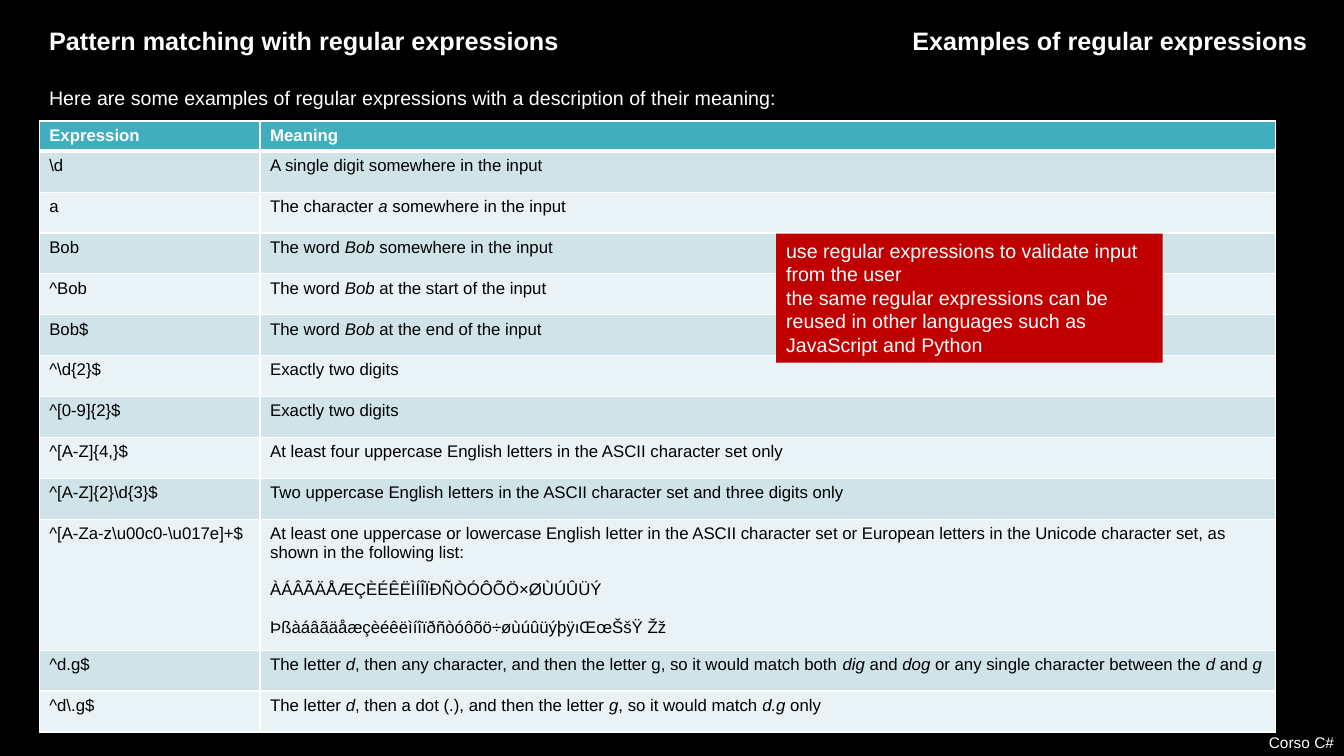
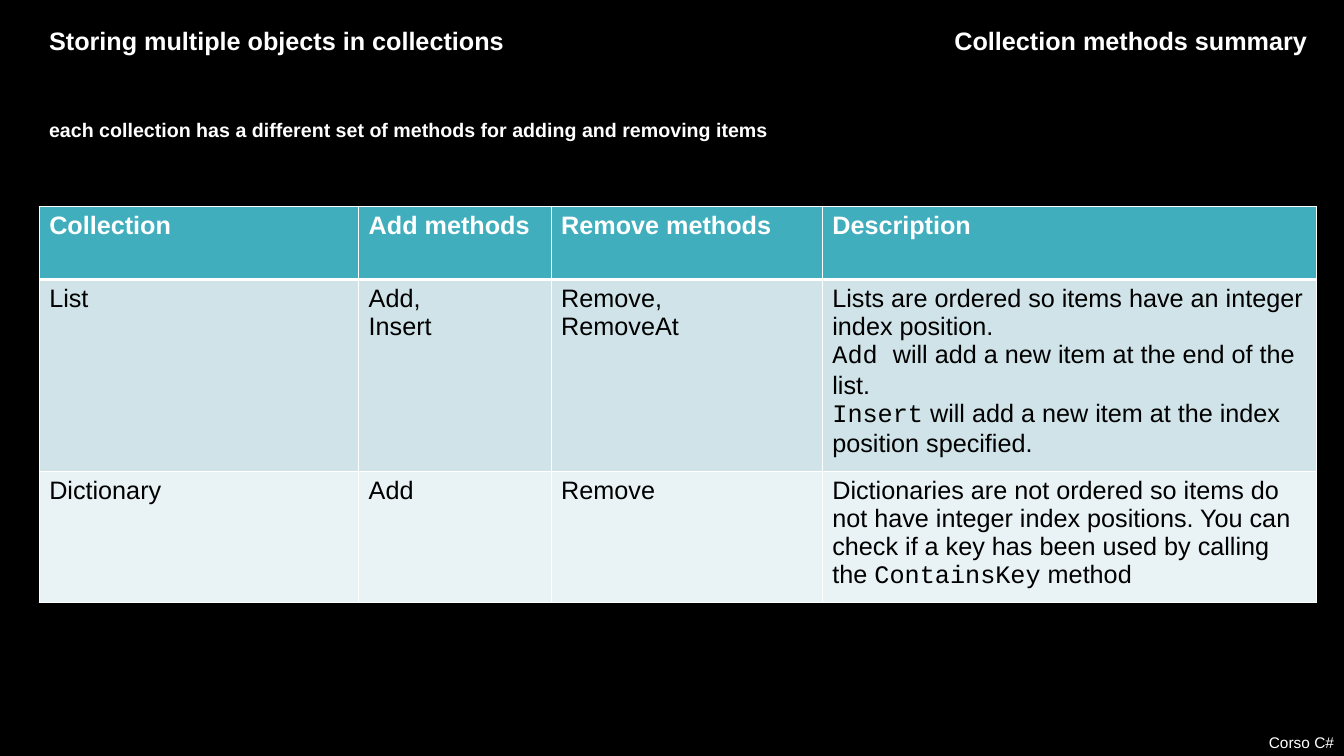
"""Build two course slides: regular expression examples and collection methods."""
from dataclasses import dataclass

from lxml import etree
from pptx import Presentation
from pptx.dml.color import RGBColor
from pptx.enum.shapes import MSO_SHAPE
from pptx.enum.text import MSO_ANCHOR, MSO_AUTO_SIZE, PP_ALIGN
from pptx.oxml.ns import qn
from pptx.util import Pt

LEFT, RIGHT = PP_ALIGN.LEFT, PP_ALIGN.RIGHT
TOP = MSO_ANCHOR.TOP
NO_FIT = MSO_AUTO_SIZE.NONE
RECT = MSO_SHAPE.RECTANGLE


@dataclass(frozen=True)
class Theme:
    font: str = "Arial"
    code: str = "Courier New"
    black: str = "000000"
    white: str = "FFFFFF"
    header: str = "41AEBD"
    bands: tuple = ("CFE3E8", "E9F2F4")
    red: str = "C00000"
    title: int = 18
    body: int = 14
    small: int = 12
    footer: int = 11
    thin: int = 1
    thick: int = 3
    margin: int = 28


T = Theme()

SLIDES = [
    dict(
        section="Pattern matching with regular expressions",
        title="Examples of regular expressions",
        intro=dict(
            text="Here are some examples of regular expressions with a description of their meaning:",
            top=57.6, height=24.5, bold=False, spacing=1),
        table=dict(
            top=86.4, size=T.small, gap=13.4, mark={"italic": True},
            widths=[157.8, 725.4],
            heights=[21.4] + [29.2] * 9 + [93.6] + [29.2] * 2,
            rows=[
                ["Expression", "Meaning"],
                [r"\d", "A single digit somewhere in the input"],
                ["a", "The character *a* somewhere in the input"],
                ["Bob", "The word *Bob* somewhere in the input"],
                ["^Bob", "The word *Bob* at the start of the input"],
                ["Bob$", "The word *Bob* at the end of the input"],
                [r"^\d{2}$", "Exactly two digits"],
                ["^[0-9]{2}$", "Exactly two digits"],
                ["^[A-Z]{4,}$", "At least four uppercase English letters in the ASCII character set only"],
                [r"^[A-Z]{2}\d{3}$",
                 "Two uppercase English letters in the ASCII character set and three digits only"],
                [r"^[A-Za-z\u00c0-\u017e]+$",
                 "At least one uppercase or lowercase English letter in the ASCII character set "
                 "or European letters in the Unicode character set, as shown in the following list:\n"
                 "ÀÁÂÃÄÅÆÇÈÉÊËÌÍÎÏÐÑÒÓÔÕÖ×ØÙÚÛÜÝ\n"
                 "Þßàáâãäåæçèéêëìíîïðñòóôõö÷øùúûüýþÿıŒœŠšŸ Žž"],
                ["^d.g$",
                 "The letter *d*, then any character, and then the letter g, so it would match both "
                 "*dig* and *dog* or any single character between the *d* and *g*"],
                [r"^d\.g$",
                 "The letter *d*, then a dot (.), and then the letter *g*, so it would match *d.g* only"],
            ]),
        callout="use regular expressions to validate input from the user\n"
                "the same regular expressions can be reused in other languages such as JavaScript and Python",
    ),
    dict(
        section="Storing multiple objects in collections",
        title="Collection methods summary",
        intro=dict(
            text="each collection has a different set of methods for adding and removing items",
            top=72, height=29.5, bold=True, spacing=1.5),
        table=dict(
            top=147.6, size=T.title, gap=0, mark={"name": T.code},
            widths=[228.2, 137.5, 193.7, 352.8],
            heights=[52, 137, 93.6],
            rows=[
                ["Collection", "Add methods", "Remove methods", "Description"],
                ["List", "Add,\nInsert", "Remove,\nRemoveAt",
                 "Lists are ordered so items have an integer index position.\n"
                 "*Add *will add a new item at the end of the list.\n"
                 "*Insert* will add a new item at the index position specified."],
                ["Dictionary", "Add", "Remove",
                 "Dictionaries are not ordered so items do not have integer index positions. "
                 "You can check if a key has been used by calling the *ContainsKey* method"],
            ]),
        callout=None,
    ),
]


def write(tf, text, size, color=T.white, bold=False, align=LEFT, gap=0, spacing=1, mark=None):
    tf.word_wrap = True
    tf.vertical_anchor = TOP
    for i, line in enumerate(text.split("\n")):
        p = tf.paragraphs[0] if i == 0 else tf.add_paragraph()
        p.alignment = align
        p.line_spacing = spacing
        if i:
            p.space_before = Pt(gap)
        for j, part in enumerate(line.split("*")):
            if not part:
                continue
            r = p.add_run()
            r.text = part
            values = {"name": T.font, "size": Pt(size), "bold": bold}
            if j % 2:
                values.update(mark)
            for name, value in values.items():
                setattr(r.font, name, value)
            r.font.color.rgb = RGBColor.from_string(color)


def style_cell(cell, fill, top, bottom):
    tc_pr = cell._tc.get_or_add_tcPr()
    for side, width in (("L", T.thin), ("R", T.thin), ("T", top), ("B", bottom)):
        ln = etree.SubElement(tc_pr, qn(f"a:ln{side}"), w=str(Pt(width)))
        solid = etree.SubElement(ln, qn("a:solidFill"))
        etree.SubElement(solid, qn("a:srgbClr"), val=T.white)
    cell.fill.solid()
    cell.fill.fore_color.rgb = RGBColor.from_string(fill)


prs = Presentation()
prs.slide_width, prs.slide_height = Pt(960), Pt(540)
background = prs.slide_master.background.fill
background.solid()
background.fore_color.rgb = RGBColor.from_string(T.black)

for content in SLIDES:
    s = prs.slides.add_slide(prs.slide_layouts[5])

    title = s.shapes.title
    title.left, title.top, title.width, title.height = Pt(480), Pt(14.4), Pt(461), Pt(29)
    title.text_frame.auto_size = NO_FIT
    write(title.text_frame, content["title"], T.title, bold=True, align=RIGHT)

    intro = content["intro"]
    boxes = [
        ((0, 520, 960, 20), "Corso C#", dict(size=T.footer, align=RIGHT)),
        ((T.margin, 14.4, 440, 29), content["section"], dict(size=T.title, bold=True)),
        ((T.margin, intro["top"], 883, intro["height"]), intro["text"],
         dict(size=T.body, bold=intro["bold"], spacing=intro["spacing"])),
    ]
    for place, text, look in boxes:
        sp = s.shapes.add_textbox(*map(Pt, place))
        write(sp.text_frame, text, **look)

    grid = content["table"]
    rows, widths, heights = grid["rows"], grid["widths"], grid["heights"]
    table = s.shapes.add_table(len(rows), len(widths), Pt(T.margin), Pt(grid["top"]),
                               Pt(sum(widths)), Pt(sum(heights))).table
    for column, width in zip(table.columns, widths):
        column.width = Pt(width)
    for i, (row, height) in enumerate(zip(table.rows, heights)):
        row.height = Pt(height)
        head = i == 0
        fill = T.header if head else T.bands[(i - 1) % 2]
        for cell, text in zip(row.cells, rows[i]):
            style_cell(cell, fill, T.thick if i == 1 else T.thin, T.thick if head else T.thin)
            write(cell.text_frame, text, grid["size"], T.white if head else T.black,
                  bold=head, gap=grid["gap"], mark=grid["mark"])

    if content["callout"]:
        sp = s.shapes.add_shape(RECT, Pt(554.4), Pt(167), Pt(276), Pt(92))
        sp.shadow.inherit = False
        sp.fill.solid()
        sp.fill.fore_color.rgb = RGBColor.from_string(T.red)
        sp.line.fill.background()
        write(sp.text_frame, content["callout"], T.body)

prs.save("out.pptx")
